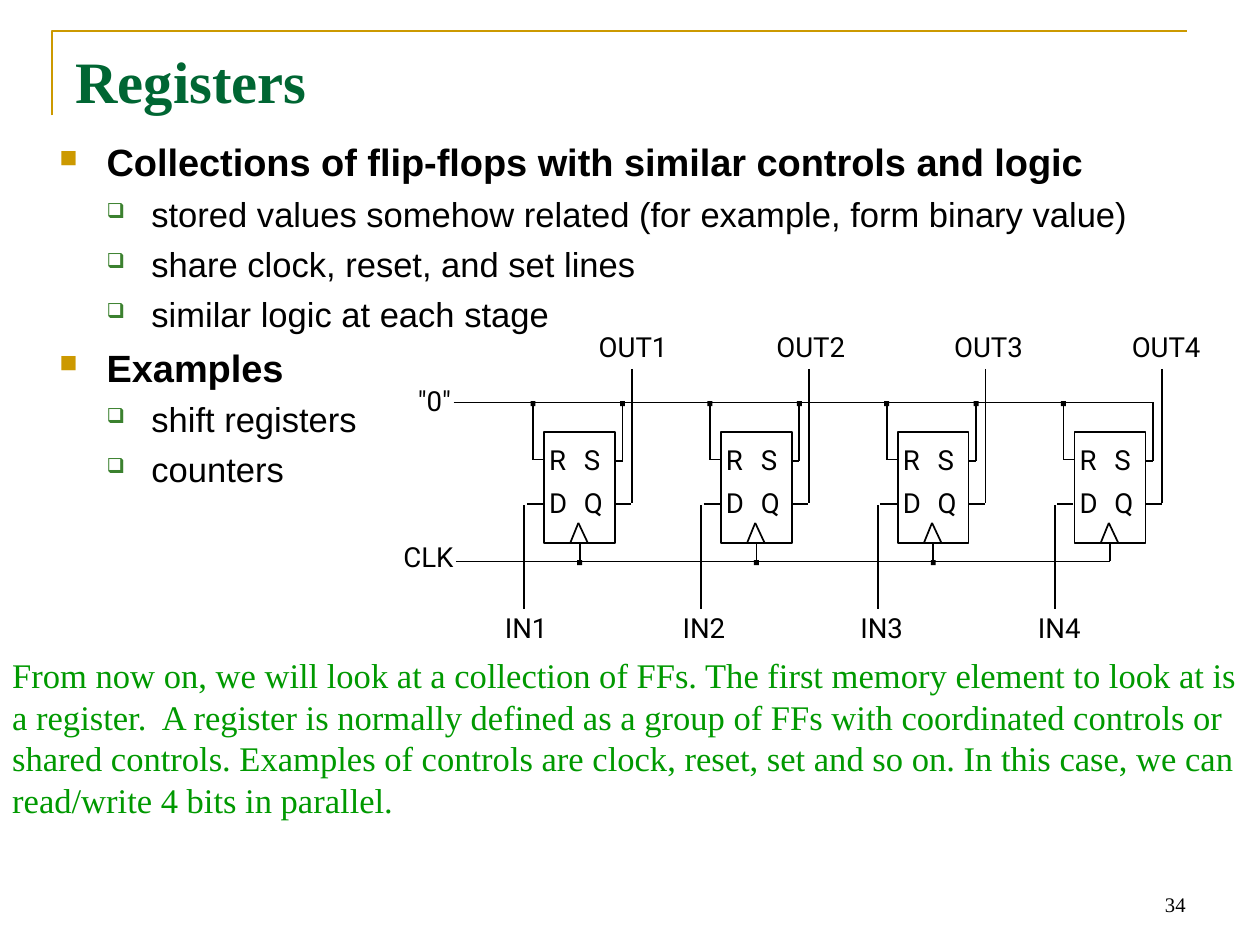
from dataclasses import dataclass

from lxml.etree import SubElement
from pptx import Presentation
from pptx.dml.color import RGBColor
from pptx.enum.shapes import MSO_CONNECTOR as Connector, MSO_SHAPE as Preset
from pptx.enum.text import MSO_ANCHOR as Anchor, PP_ALIGN as Align
from pptx.oxml.ns import qn
from pptx.util import Emu, Inches, Pt

BLACK = RGBColor(0x00, 0x00, 0x00)
WHITE = RGBColor(0xFF, 0xFF, 0xFF)
GOLD = RGBColor(0xCC, 0x99, 0x00)
TITLE_GREEN = RGBColor(0x00, 0x66, 0x33)
BULLET_GREEN = RGBColor(0x3B, 0x81, 0x2F)
NOTE_GREEN = RGBColor(0x00, 0x99, 0x00)

presentation = Presentation()
presentation.slide_width, presentation.slide_height = Inches(10.14), Inches(7.6)
slide = presentation.slides.add_slide(presentation.slide_layouts[6])

# The slide is a grid of square cells
COLUMNS, ROWS = 101.4, 76


def column(count: float) -> Emu:
    return Emu(round(presentation.slide_width * count / COLUMNS))


def row(count: float) -> Emu:
    return Emu(round(presentation.slide_height * count / ROWS))


@dataclass(frozen=True)
class Box:
    left: float
    top: float
    width: float
    height: float

    def place(self) -> tuple:
        return column(self.left), row(self.top), column(self.width), row(self.height)


@dataclass(frozen=True)
class Wire:
    x1: float
    y1: float
    x2: float
    y2: float


@dataclass(frozen=True)
class Pin:
    text: str
    left: float
    top: float


@dataclass(frozen=True)
class Level:
    mark: str
    mark_color: RGBColor
    mark_percent: int
    margin: float
    hanging: float
    space: float
    font: dict


@dataclass(frozen=True)
class Point:
    text: str
    level: int


TITLE_FONT = {"name": "Times New Roman", "size": Pt(34), "bold": True}
NOTE_FONT = {"name": "Times New Roman", "size": Pt(20)}
NUMBER_FONT = {"name": "Times New Roman", "size": Pt(12)}
CIRCUIT_FONT = {"name": "Roboto", "size": Pt(16)}
CIRCUIT_FRAME = {"word_wrap": False, "margin_left": Inches(0.02), "margin_right": Inches(0.02),
                 "margin_top": Inches(0.03), "margin_bottom": Inches(0.03)}


def apply(target, values: dict) -> None:
    for name, value in values.items():
        setattr(target, name, value)


def add_run(paragraph, text: str, font: dict, color: RGBColor) -> None:
    run = paragraph.add_run()
    run.text = text
    apply(run.font, font)
    run.font.color.rgb = color


def add_text(shapes, box: Box, text: str, font: dict, color: RGBColor,
             frame: dict, layout: dict):
    shape = shapes.add_textbox(*box.place())
    apply(shape.text_frame, {"word_wrap": True} | frame)
    paragraph = shape.text_frame.paragraphs[0]
    apply(paragraph, layout)
    add_run(paragraph, text, font, color)
    return shape


# Corner rule beside the title
builder = slide.shapes.build_freeform(column(4.2), row(9.3))
builder.add_line_segments([(column(4.2), row(2.5)), (column(95.5), row(2.5))], close=False)
corner = builder.convert_to_shape()
corner.shadow.inherit = False
corner.fill.background()
corner.line.color.rgb = GOLD
corner.line.width = Pt(1.5)

# Title and slide number
add_text(slide.shapes, Box(5.1, 3.1, 91.2, 12.6), "Registers", TITLE_FONT, TITLE_GREEN, {}, {})
add_text(slide.shapes, Box(72.7, 69.2, 23.7, 5.1), "34", NUMBER_FONT, BLACK,
         {"vertical_anchor": Anchor.BOTTOM}, {"alignment": Align.RIGHT})

# Bulleted points
LEVELS = [
    Level("■", GOLD, 65, 3.8, 3.8, 5.5, {"name": "Arial", "size": Pt(22), "bold": True}),
    Level("❑", BULLET_GREEN, 60, 7.4, 3.6, 5, {"name": "Arial", "size": Pt(20)}),
]
POINTS = [
    Point("Collections of flip-flops with similar controls and logic", 0),
    Point("stored values somehow related (for example, form binary value)", 1),
    Point("share clock, reset, and set lines", 1),
    Point("similar logic at each stage", 1),
    Point("Examples", 0),
    Point("shift registers", 1),
    Point("counters", 1),
]


def add_bullet(paragraph, level: Level) -> None:
    properties = paragraph._p.get_or_add_pPr()
    properties.set("marL", str(column(level.margin)))
    properties.set("indent", str(-column(level.hanging)))
    color = SubElement(properties, qn("a:buClr"))
    SubElement(color, qn("a:srgbClr"), val=str(level.mark_color))
    SubElement(properties, qn("a:buSzPct"), val=str(level.mark_percent * 1000))
    SubElement(properties, qn("a:buChar"), char=level.mark)


body = slide.shapes.add_textbox(*Box(3.8, 10.7, 91.2, 49.9).place()).text_frame
body.word_wrap = True
for index, point in enumerate(POINTS):
    paragraph = body.add_paragraph() if index else body.paragraphs[0]
    level = LEVELS[point.level]
    add_bullet(paragraph, level)
    paragraph.level = point.level
    paragraph.space_before = Pt(level.space if index else 0)
    add_run(paragraph, point.text, level.font, BLACK)

# Register circuit: four equal stages, offsets counted from each flip-flop's left side
STAGES, FIRST_STAGE, STAGE_PITCH = 4, 43.8, 14.23
FIRST_LABEL, LABEL_PITCH = 42.35, 14.3
OUT_SHIFT, LABEL_WIDTH, TEXT_HEIGHT = 8.6, 7.8, 3.8
SET_BUS, CLOCK_BUS, DATA_ROW, DOT = 32.4, 45.2, 40.6, 0.4
FLIP_FLOP = Box(0, 34.8, 5.7, 8.9)
PINS = [Pin("R", 0.2, 35.7), Pin("S", 3, 35.7), Pin("D", 0.2, 39.1), Pin("Q", 3, 39.1)]
WIRES = [
    Wire(2.1, 43.7, 2.75, 42.1), Wire(3.5, 43.7, 2.75, 42.1),  # clock notch
    Wire(-1.4, DATA_ROW, -0.1, DATA_ROW), Wire(-1.6, 40.7, -1.6, 49),  # data in
    Wire(5.7, DATA_ROW, 7, DATA_ROW), Wire(7.05, 29.7, 7.05, 40.5),  # data out
    Wire(0, 37, -0.9, 37), Wire(-0.9, 37, -0.9, SET_BUS),  # reset
    Wire(5.7, 37.1, 6.3, 37.1), Wire(6.3, 37.1, 6.3, SET_BUS),  # set
]
circuit = slide.shapes.add_group_shape().shapes


def add_wire(wire: Wire, shift: float = 0):
    line = circuit.add_connector(Connector.STRAIGHT, column(wire.x1 + shift), row(wire.y1),
                                 column(wire.x2 + shift), row(wire.y2))
    line.line.color.rgb = BLACK
    line.line.width = Pt(1)
    SubElement(line._element.spPr, qn("a:effectLst"))
    return line


def add_rectangle(box: Box, fill: RGBColor):
    shape = circuit.add_shape(Preset.RECTANGLE, *box.place())
    shape.shadow.inherit = False
    shape.fill.solid()
    shape.fill.fore_color.rgb = fill
    shape.line.fill.background()
    return shape


def add_dot(center: float, bus: float) -> None:
    add_rectangle(Box(center - DOT / 2, bus - 0.1, DOT, DOT), BLACK)


def add_label(box: Box, text: str, alignment: Align) -> None:
    add_text(circuit, box, text, CIRCUIT_FONT, BLACK, CIRCUIT_FRAME,
             {"alignment": alignment, "line_spacing": Pt(17)})


for stage in range(STAGES):
    left = FIRST_STAGE + stage * STAGE_PITCH
    flip_flop = add_rectangle(Box(left, FLIP_FLOP.top, FLIP_FLOP.width, FLIP_FLOP.height), WHITE)
    flip_flop.line.color.rgb = BLACK
    flip_flop.line.width = Pt(1)
    for pin in PINS:
        add_label(Box(left + pin.left, pin.top, 2.7, TEXT_HEIGHT), pin.text, Align.LEFT)
    for wire in WIRES:
        add_wire(wire, left)
    add_wire(Wire(2.85, 43.7, 2.85, CLOCK_BUS), left).begin_connect(flip_flop, 2)
    add_dot(left - 0.9, SET_BUS)
    if stage < STAGES - 1:
        add_dot(left + 6.3, SET_BUS)
        add_dot(left + 2.85, CLOCK_BUS)
    label_left = FIRST_LABEL + stage * LABEL_PITCH - LABEL_WIDTH / 2
    for name, shift, top in (("OUT", OUT_SHIFT, 26.6), ("IN", 0, 49.2)):
        add_label(Box(label_left + shift, top, LABEL_WIDTH, TEXT_HEIGHT),
                  f"{name}{stage + 1}", Align.CENTER)

# Shared lines across all stages
last = FIRST_STAGE + (STAGES - 1) * STAGE_PITCH
add_wire(Wire(36.5, SET_BUS, last + 6.3, SET_BUS))
add_wire(Wire(36.7, CLOCK_BUS, last + 2.85, CLOCK_BUS))
add_label(Box(30.9, 30.9, 5.6, TEXT_HEIGHT), '"0"', Align.RIGHT)
add_label(Box(31.1, 43.5, 5.6, TEXT_HEIGHT), "CLK", Align.RIGHT)

# Explanation under the circuit
NOTE = ("From now on, we will look at a collection of FFs. The first memory element to look at is "
        "a register.  A register is normally defined as a group of FFs with coordinated controls "
        "or shared controls. Examples of controls are clock, reset, set and so on. In this case, "
        "we can read/write 4 bits in parallel.")
note = add_text(slide.shapes, Box(0, 52.2, COLUMNS, 14.3), NOTE, NOTE_FONT, NOTE_GREEN, {}, {})
note.fill.solid()
note.fill.fore_color.rgb = WHITE

presentation.save("out.pptx")
